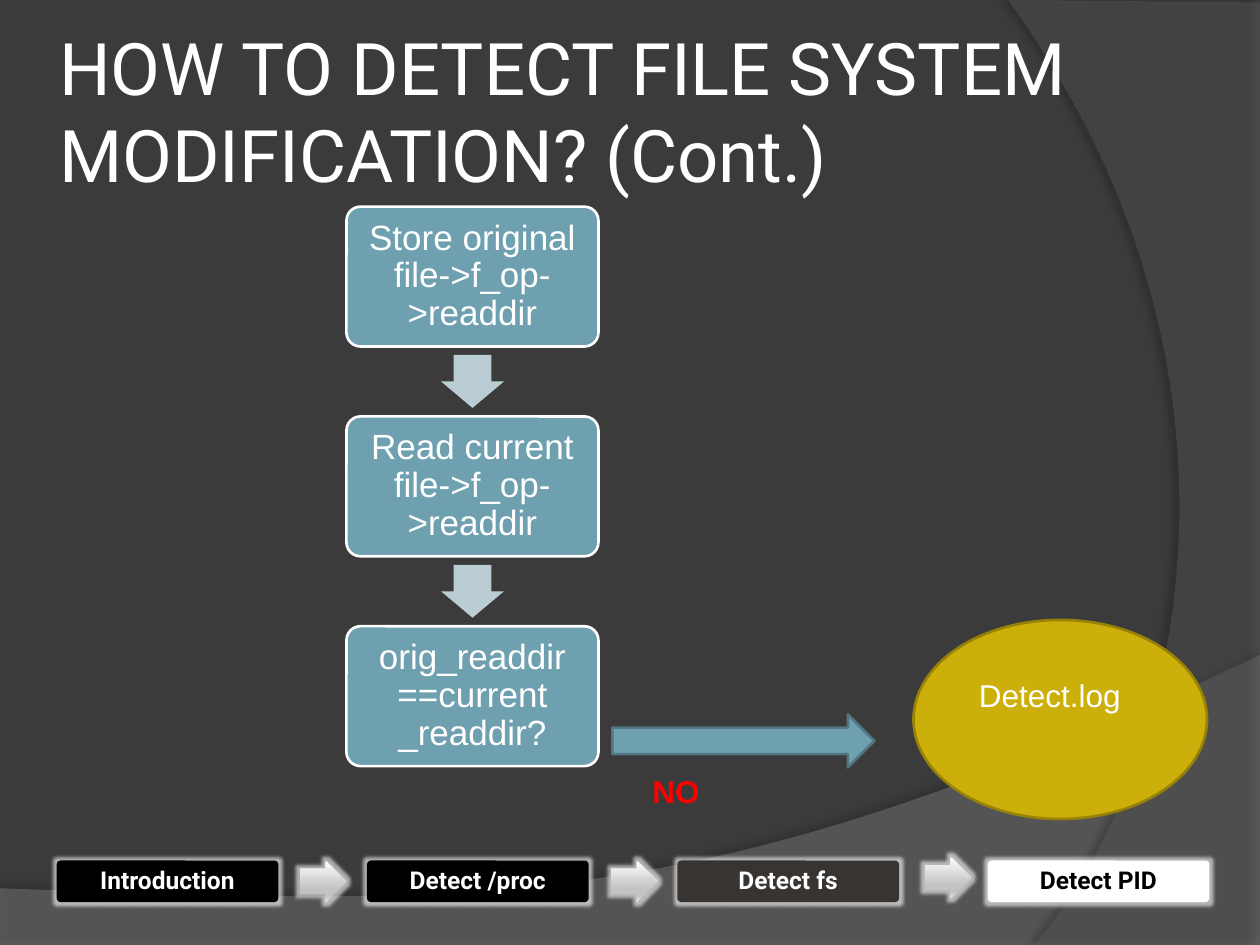
import pptx
import pptx.util
import pptx.dml.color
import pptx.enum.shapes
import pptx.enum.text
import pptx.oxml
import pptx.oxml.ns

Inches = pptx.util.Inches
Pt = pptx.util.Pt
RGBColor = pptx.dml.color.RGBColor
SHAPE = pptx.enum.shapes.MSO_SHAPE
ANCHOR = pptx.enum.text.MSO_ANCHOR
ALIGN = pptx.enum.text.PP_ALIGN
qn = pptx.oxml.ns.qn

WHITE = RGBColor(0xFF, 0xFF, 0xFF)
BLACK = RGBColor(0, 0, 0)
RED = RGBColor(0xFF, 0, 0)
BACKGROUND = RGBColor(0x3B, 0x3B, 0x3B)
WAVE_GREY = RGBColor(0x7F, 0x7F, 0x7F)
ARC_GREY = RGBColor(0x5E, 0x5E, 0x5E)
DARK_BROWN = RGBColor(0x37, 0x34, 0x32)
TEAL = RGBColor(0x6E, 0xA0, 0xB0)
TEAL_DARK = RGBColor(0x51, 0x76, 0x82)
TEAL_PALE = RGBColor(0xBA, 0xCD, 0xD4)
GOLD = RGBColor(0xCC, 0xAF, 0x0A)
GOLD_DARK = RGBColor(0x97, 0x81, 0x07)
SILVER_STOPS = [(0, "FEFEFE"), (68, "C3C3C3"), (81, "C1C1C1"),
                (86, "C6C6C6"), (100, "E6E6E6")]

TITLE = "HOW TO DETECT FILE SYSTEM MODIFICATION? (Cont.)"
STEPS = ["Store original file->f_op->readdir",
         "Read current file->f_op->readdir",
         "orig_readdir ==current _readdir?"]
SECTIONS = [("Introduction", BLACK, WHITE), ("Detect /proc", BLACK, WHITE),
            ("Detect fs", DARK_BROWN, WHITE), ("Detect PID", WHITE, BLACK)]
SECTION_ARROWS = [(2.38, 6.83), (4.85, 6.83), (7.34, 6.8)]

STEP_LEFT, STEP_TOP, STEP_WIDTH, STEP_HEIGHT, STEP_PITCH = 2.75, 1.64, 2, 1.11, 1.665
STEP_ARROW_LENGTH, STEP_ARROW_BREADTH = 0.42, 0.5
SECTION_LEFT, SECTION_TOP, SECTION_PITCH = 0.45, 6.83, 2.463

presentation = pptx.Presentation()
presentation.slide_width, presentation.slide_height = Inches(10), Inches(7.5)
slide = presentation.slides.add_slide(presentation.slide_layouts[6])
slide.background.fill.solid()
slide.background.fill.fore_color.rgb = BACKGROUND


def xml(text):
    return pptx.oxml.parse_xml(
        text.replace(" ", f" {pptx.oxml.ns.nsdecls('a')} ", 1))


def add_effect(shape, effect):
    shape._element.spPr.find(qn("a:effectLst")).append(xml(effect))


def paint(shape, fill, line=None):
    shape.shadow.inherit = False
    shape.fill.solid()
    shape.fill.fore_color.rgb = fill
    if line is None:
        shape.line.fill.background()
    else:
        shape.line.color.rgb = line
        shape.line.width = Pt(1.5)


def add_shape(kind, box, fill, line=None, adjustments=()):
    shape = slide.shapes.add_shape(kind, *map(Inches, box))
    paint(shape, fill, line)
    for index, value in enumerate(adjustments):
        shape.adjustments[index] = value
    return shape


def write(shape, text, size, color, font="Arial", bold=False, margin=None,
          anchor=ANCHOR.TOP, align=ALIGN.LEFT, spacing=None):
    frame = shape.text_frame
    frame.text = text
    frame.word_wrap = True
    frame.vertical_anchor = anchor
    if margin is not None:
        frame.margin_left = frame.margin_right = Inches(margin)
        frame.margin_top = frame.margin_bottom = Inches(margin)
    paragraph = frame.paragraphs[0]
    paragraph.alignment = align
    paragraph.line_spacing = spacing
    run_font = paragraph.runs[0].font
    run_font.name, run_font.size, run_font.bold = font, Pt(size), bold
    run_font.color.rgb = color


def add_text(box, text, size, color, **style):
    write(slide.shapes.add_textbox(*map(Inches, box)), text, size, color, **style)


def bezier(start, control_1, control_2, end, pieces=60):
    """Points along a cubic curve, without its start."""
    points = []
    for piece in range(1, pieces + 1):
        t = piece / pieces
        weights = ((1 - t) ** 3, 3 * t * (1 - t) ** 2, 3 * t * t * (1 - t), t ** 3)
        points.append(tuple(
            sum(w * v for w, v in zip(weights, values))
            for values in zip(start, control_1, control_2, end)))
    return points


def add_backdrop(points, fill, opacity, shadow_opacity, distance, direction):
    corners = [(Inches(x), Inches(y)) for x, y in points]
    builder = slide.shapes.build_freeform(*corners[0])
    builder.add_line_segments(corners[1:], close=True)
    shape = builder.convert_to_shape()
    paint(shape, fill)
    color = shape._element.spPr.find(qn("a:solidFill"))[0]
    color.append(xml(f'<a:alpha val="{opacity * 1000}"/>'))
    add_effect(shape, f'<a:outerShdw blurRad="{Pt(4)}" dist="{Pt(distance)}" '
               f'dir="{direction * 60000}" algn="ctr" rotWithShape="0">'
               f'<a:srgbClr val="000000"><a:alpha val="{shadow_opacity * 1000}"/>'
               '</a:srgbClr></a:outerShdw>')


def add_glow(shape):
    add_effect(shape, f'<a:glow rad="{Pt(4)}"><a:srgbClr val="FFFFFF">'
               '<a:alpha val="60000"/></a:srgbClr></a:glow>')


def fill_silver(shape):
    shape.fill.gradient()
    shape.fill.gradient_angle = 270
    stops = shape._element.spPr.find(qn("a:gradFill")).find(qn("a:gsLst"))
    for stop in list(stops):
        stops.remove(stop)
    for position, color in SILVER_STOPS:
        stops.append(xml(f'<a:gs pos="{position * 1000}">'
                         f'<a:srgbClr val="{color}"/></a:gs>'))


# Backdrop and title
add_backdrop([(0, 7.05), (0, 7.5), (10, 7.5), (10, 5.2)]
             + bezier((10, 5.2), (5.59, 7.29), (3.91, 7.19), (0, 7.05)),
             WAVE_GREY, 45, 35, 3.5, 270)
add_backdrop([(10, 0.02), (10, 7.5), (8.21, 7.5)]
             + bezier((8.21, 7.5), (9.35, 6.19), (10.18, 3), (8, 0)),
             ARC_GREY, 40, 45, 4, 180)
add_text((0.42, 0.25, 8.17, 1.25), TITLE, 41.4, WHITE, font="Roboto",
         margin=0.05, anchor=ANCHOR.MIDDLE)

# Section bar
for index, (section, fill, color) in enumerate(SECTIONS):
    left = SECTION_LEFT + index * SECTION_PITCH
    tab = add_shape(SHAPE.ROUNDED_RECTANGLE, (left, SECTION_TOP, 1.76, 0.33),
                    fill, adjustments=[0.1])
    add_glow(tab)
    write(tab, section, 14, color, font="Roboto", bold=True, margin=0.06,
          anchor=ANCHOR.MIDDLE, align=ALIGN.CENTER, spacing=0.9)
for left, top in SECTION_ARROWS:
    arrow = add_shape(SHAPE.RIGHT_ARROW, (left, top, 0.37, 0.33), WHITE,
                      adjustments=[0.6, 0.5])
    fill_silver(arrow)
    add_glow(arrow)

# Flow of checks
for index, step in enumerate(STEPS):
    top = STEP_TOP + index * STEP_PITCH
    if index:
        gap_middle = top - (STEP_PITCH - STEP_HEIGHT) / 2
        arrow = add_shape(
            SHAPE.RIGHT_ARROW,
            (STEP_LEFT + (STEP_WIDTH - STEP_ARROW_LENGTH) / 2,
             gap_middle - STEP_ARROW_BREADTH / 2,
             STEP_ARROW_LENGTH, STEP_ARROW_BREADTH),
            TEAL_PALE, adjustments=[0.6, 0.5])
        arrow.rotation = 90
    box = add_shape(SHAPE.ROUNDED_RECTANGLE,
                    (STEP_LEFT, top, STEP_WIDTH, STEP_HEIGHT),
                    TEAL, WHITE, adjustments=[0.1])
    write(box, step, 20, WHITE, margin=0.08, anchor=ANCHOR.MIDDLE,
          align=ALIGN.CENTER, spacing=0.9)

# Mismatch branch
add_shape(SHAPE.RIGHT_ARROW, (4.86, 5.67, 2.08, 0.42), TEAL, TEAL_DARK)
add_text((5.08, 6.08, 0.92, 0.42), "NO", 18, RED, bold=True)
add_shape(SHAPE.OVAL, (7.25, 4.92, 2.33, 1.58), GOLD, GOLD_DARK)
add_text((7.67, 5.32, 1.58, 0.4), "Detect.log", 18, WHITE)

presentation.save("out.pptx")
